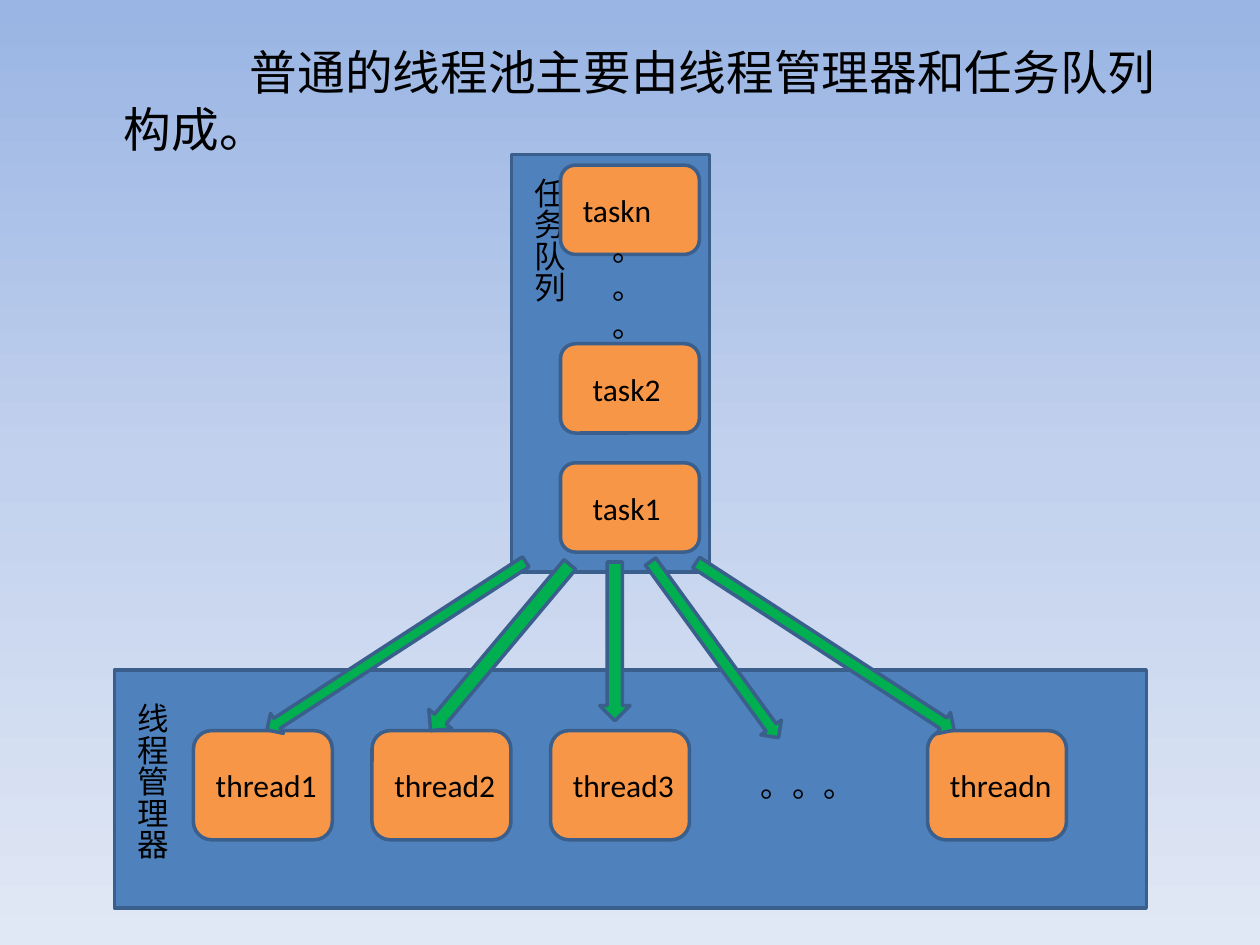
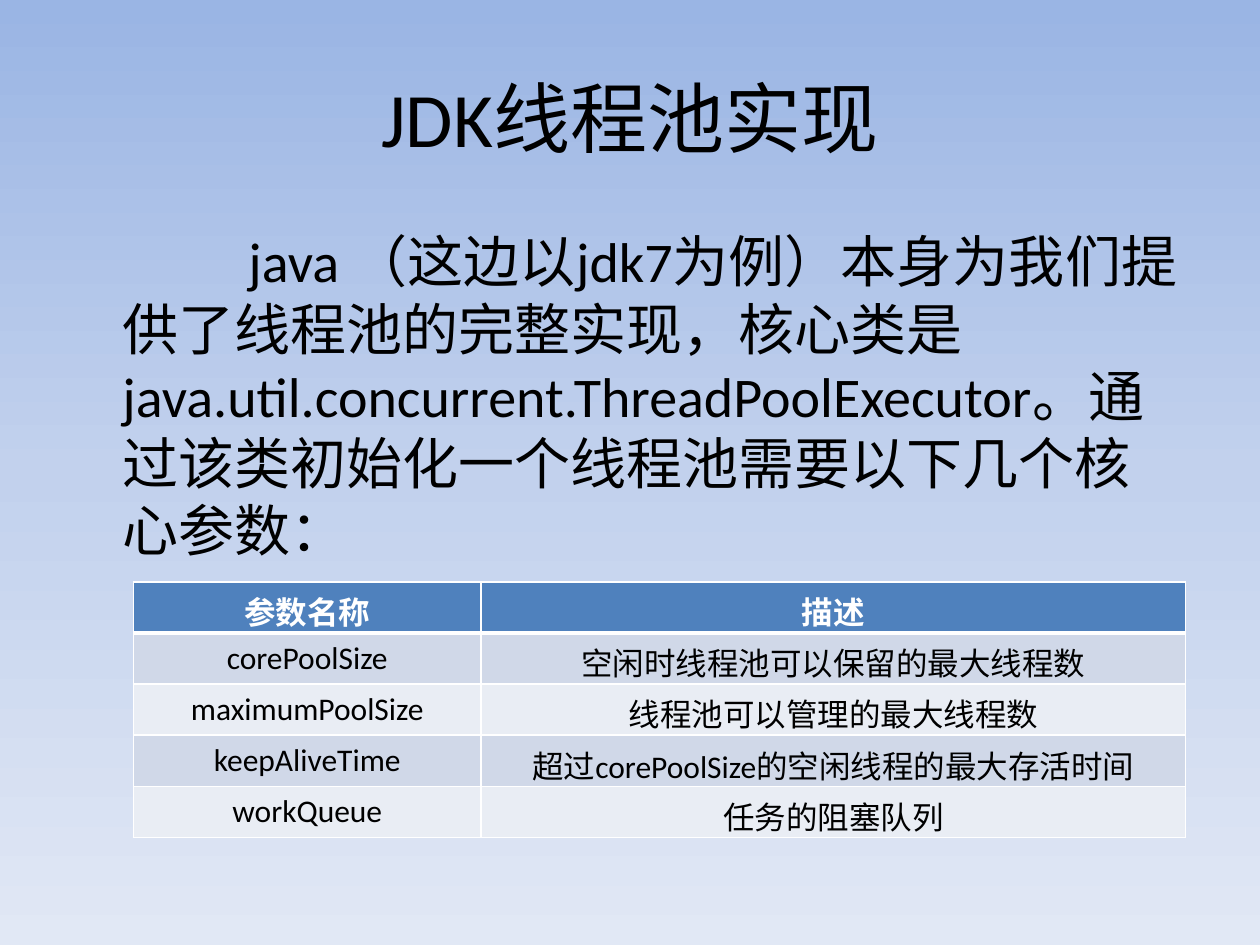
from copy import deepcopy
from lxml.etree import SubElement
from pptx import Presentation
from pptx.dml.color import RGBColor
from pptx.enum.shapes import MSO_SHAPE
from pptx.enum.text import MSO_ANCHOR, PP_ALIGN
from pptx.oxml.ns import qn
from pptx.util import Cm, Pt

BLACK = RGBColor(0x00, 0x00, 0x00)
WHITE = RGBColor(0xFF, 0xFF, 0xFF)
BLUE = RGBColor(0x4F, 0x81, 0xBD)
EDGE = RGBColor(0x3A, 0x5F, 0x8C)
ORANGE = RGBColor(0xF7, 0x96, 0x46)
GREEN = RGBColor(0x00, 0xB0, 0x50)
BANDS = [RGBColor(0xE9, 0xED, 0xF4), RGBColor(0xD0, 0xD8, 0xE8)]
SKY = [(0, RGBColor(0x9A, 0xB5, 0xE4)), (0.5, RGBColor(0xC2, 0xD1, 0xED)),
       (1, RGBColor(0xE1, 0xE8, 0xF5))]
FONT = "Calibri"

POOL_INTRO = "普通的线程池主要由线程管理器和任务队列构成。"
DOTS = "。。。"
PANELS = [
    ("任务队列", (10.31, 3.12, 3.99, 8.41), (3.33, 6.81)),
    ("线程管理器", (2.31, 13.51, 20.8, 4.8), (13.92, 4.19)),
]
TASK_LEFT, TASK_H = 11.3, 1.8
TASKS = [("taskn", 3.33, 0.2), ("task2", 6.93, 0.4), ("task1", 9.33, 0.4)]
THREAD_TOP, THREAD_H = 14.73, 2.2
THREADS = [("thread1", 3.9), ("thread2", 7.5), ("thread3", 11.1), ("threadn", 18.7)]
BOX_W = 2.8
ARROWS = [
    (7.75, 9.91, 0.48, 6.22, 57),
    (9.78, 10.87, 0.61, 4.37, 40),
    (12.09, 11.33, 0.61, 3.2, 0),
    (14.15, 10.9, 0.51, 4.39, 324),
    (16.38, 9.93, 0.51, 6.2, 303),
]

JDK_TITLE = "JDK线程池实现"
JDK_INTRO = ("java （这边以jdk7为例）本身为我们提供了线程池的完整实现，核心类是"
             "java.util.concurrent.ThreadPoolExecutor。"
             "通过该类初始化一个线程池需要以下几个核心参数：")
PARAMS = [
    ("参数名称", "描述"),
    ("corePoolSize", "空闲时线程池可以保留的最大线程数"),
    ("maximumPoolSize", "线程池可以管理的最大线程数"),
    ("keepAliveTime", "超过corePoolSize的空闲线程的最大存活时间"),
    ("workQueue", "任务的阻塞队列"),
]
COL_WIDTHS = [7.01, 14.2]
ROW_H = 1.03


def style(p, size, color=BLACK, bold=False):
    for r in p.runs:
        r.font.name, r.font.size, r.font.bold = FONT, Pt(size), bold
        r.font.color.rgb = color


def add_text(s, text, box, size=18, align=PP_ALIGN.LEFT, vertical=False):
    sp = s.shapes.add_textbox(*map(Cm, box))
    tf = sp.text_frame
    tf.word_wrap = True
    tf.text = text
    p = tf.paragraphs[0]
    p.alignment = align
    style(p, size)
    if vertical:
        sp.element.find(".//" + qn("a:bodyPr")).set("vert", "eaVert")
    return tf


def add_intro(s, text, box, size):
    p = add_text(s, text, box, size).paragraphs[0]
    p.space_before = Pt(size * 0.2)
    pPr = p.runs[0].font._element.getparent().getparent().find(qn("a:pPr"))
    pPr.set("marL", str(Cm(0.95)))
    pPr.set("indent", str(Cm(2.54)))


def add_box(s, kind, box, color, rotation=0):
    sp = s.shapes.add_shape(kind, *map(Cm, box))
    sp.shadow.inherit = False
    sp.fill.solid()
    sp.fill.fore_color.rgb = color
    sp.line.color.rgb = EDGE
    sp.line.width = Pt(2)
    sp.rotation = rotation


def add_border(cell, side, width):
    tcPr = cell._tc.get_or_add_tcPr()
    ln = SubElement(tcPr, qn("a:ln" + side), w=str(Pt(width)))
    fill = SubElement(ln, qn("a:solidFill"))
    SubElement(fill, qn("a:srgbClr"), val=str(WHITE))


def paint_background(master):
    fill = master.background.fill
    fill.gradient()
    fill.gradient_angle = 270
    stops = master.element.find(".//" + qn("a:gsLst"))
    while len(stops) < len(SKY):
        stops.append(deepcopy(stops[0]))
    for stop, (position, color) in zip(fill.gradient_stops, SKY):
        stop.position = position
        stop.color.rgb = color


def build_pool(s):
    add_intro(s, POOL_INTRO, (1.3, 0.74, 22.86, 2.21), 27.2)
    for name, box, (top, height) in PANELS:
        add_box(s, MSO_SHAPE.RECTANGLE, box, BLUE)
        add_text(s, name, (box[0], top, 1.27, height), vertical=True)
    for name, top, inset in TASKS:
        add_box(s, MSO_SHAPE.ROUNDED_RECTANGLE, (TASK_LEFT, top, BOX_W, TASK_H), ORANGE)
        add_text(s, name, (TASK_LEFT + inset, top + 0.4, 2.21, 1.02))
    add_text(s, DOTS, (12.09, 4.52, 0.79, 2.57))
    for name, left in THREADS:
        add_box(s, MSO_SHAPE.ROUNDED_RECTANGLE, (left, THREAD_TOP, BOX_W, THREAD_H), ORANGE)
        add_text(s, name, (left + 0.2, THREAD_TOP + 0.59, 2.59, 1.02))
    add_text(s, DOTS, (15.09, THREAD_TOP + 0.59, 2.39, 1.02))
    for *box, rotation in ARROWS:
        add_box(s, MSO_SHAPE.DOWN_ARROW, box, GREEN, rotation)


def build_jdk(s):
    tf = add_text(s, JDK_TITLE, (1.27, 0.76, 22.86, 3.18), 44, PP_ALIGN.CENTER)
    tf.vertical_anchor = MSO_ANCHOR.MIDDLE
    add_intro(s, JDK_INTRO, (1.27, 4.45, 22.86, 12.57), 32)
    table = s.shapes.add_table(len(PARAMS), len(COL_WIDTHS), Cm(2.69), Cm(11.73),
                               Cm(sum(COL_WIDTHS)), Cm(ROW_H * len(PARAMS))).table
    for col, width in zip(table.columns, COL_WIDTHS):
        col.width = Cm(width)
    for i, row in enumerate(PARAMS):
        table.rows[i].height = Cm(ROW_H)
        head = i == 0
        for j, text in enumerate(row):
            cell = table.cell(i, j)
            cell.text = text
            p = cell.text_frame.paragraphs[0]
            p.alignment = PP_ALIGN.CENTER
            style(p, 18, WHITE if head else BLACK, head)
            for side in "LRTB":
                thick = (i, side) in ((0, "B"), (1, "T"))
                add_border(cell, side, 3 if thick else 1)
            cell.fill.solid()
            cell.fill.fore_color.rgb = BLUE if head else BANDS[i % 2]


prs = Presentation()
prs.slide_width, prs.slide_height = Cm(25.4), Cm(19.05)
paint_background(prs.slide_master)
for build in (build_pool, build_jdk):
    build(prs.slides.add_slide(prs.slide_layouts[6]))
prs.save("out.pptx")
